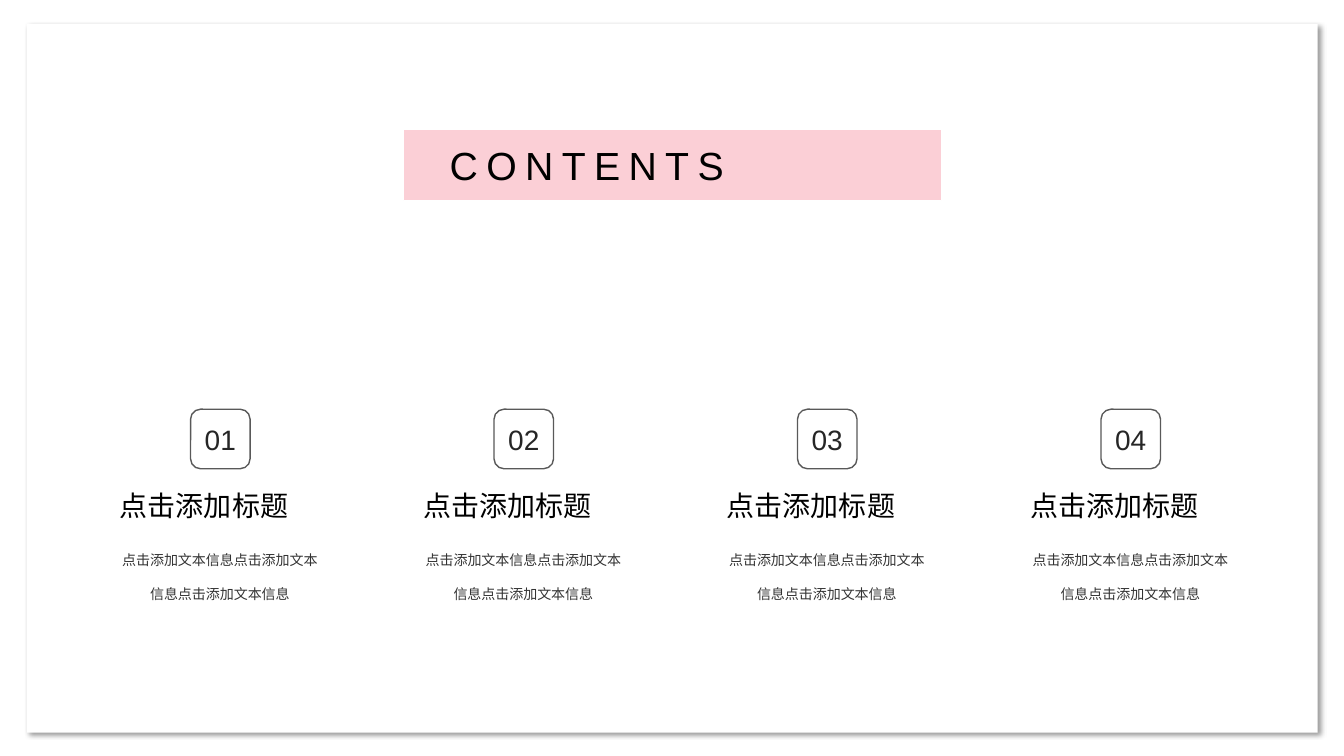
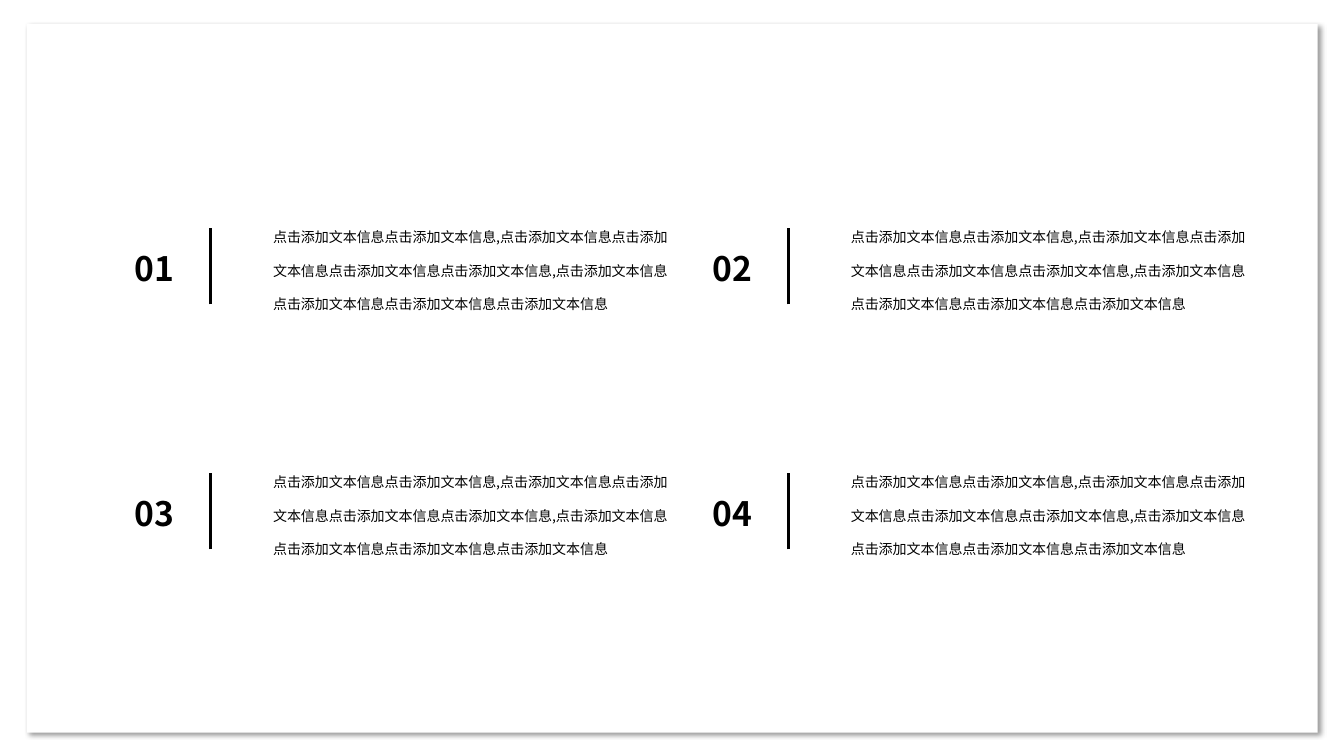
from dataclasses import dataclass

from lxml import etree
from pptx import Presentation
from pptx.dml.color import RGBColor
from pptx.enum.shapes import MSO_CONNECTOR, MSO_SHAPE
from pptx.enum.text import MSO_ANCHOR, MSO_AUTO_SIZE, PP_ALIGN
from pptx.oxml.ns import qn
from pptx.util import Inches, Pt

RECTANGLE = MSO_SHAPE.RECTANGLE
ROUNDED = MSO_SHAPE.ROUNDED_RECTANGLE
STRAIGHT = MSO_CONNECTOR.STRAIGHT
TOP, MIDDLE, BOTTOM = MSO_ANCHOR.TOP, MSO_ANCHOR.MIDDLE, MSO_ANCHOR.BOTTOM
LEFT, CENTER, JUSTIFY = PP_ALIGN.LEFT, PP_ALIGN.CENTER, PP_ALIGN.JUSTIFY
GROW, FIXED = MSO_AUTO_SIZE.SHAPE_TO_FIT_TEXT, MSO_AUTO_SIZE.NONE

COLORS = {
    "white": "FFFFFF",
    "pink": "FBCFD6",
    "black": "000000",
    "outline": "595959",
    "number": "262626",
    "caption": "333333",
}
LATIN_FONT = "Arial"
CHINESE_FONT = "Noto Sans CJK SC"
NORMAL_INSETS = (0.1, 0.05, 0.1, 0.05)
FLAT_INSETS = (0.1, 0, 0.1, 0)
NO_INSETS = (0, 0, 0, 0)

HEADING = "点击添加标题"
CAPTION = "点击添加文本信息" * 3
PARAGRAPH = ",".join("点击添加文本信息" * count for count in (2, 4, 4))


@dataclass(frozen=True)
class Area:
    left: float
    top: float
    width: float
    height: float

    def lengths(self) -> tuple:
        return tuple(Inches(value) for value in (self.left, self.top, self.width, self.height))


@dataclass(frozen=True)
class Entry:
    number: str
    left: float
    top: float


CONTENTS_ENTRIES = [Entry(f"{index + 1:02}", 1.09 + 3.01 * index, 4.06) for index in range(4)]
DETAIL_ENTRIES = [
    Entry(f"{index + 1:02}", 1.24 + 5.73 * (index % 2), 2.1 + 2.43 * (index // 2))
    for index in range(4)
]


def color(name: str) -> RGBColor:
    return RGBColor.from_string(COLORS[name])


def write_text(box, text: str, *, size: float, font: str = CHINESE_FONT, ink: str = "black",
               bold: bool = False, align=LEFT, anchor=TOP, line_spacing: float = 1.0,
               letter_spacing: float = 0, insets: tuple = NORMAL_INSETS, fit=GROW) -> None:
    frame = box.text_frame
    frame.word_wrap = True
    frame.auto_size = fit
    frame.vertical_anchor = anchor
    frame.margin_left, frame.margin_top, frame.margin_right, frame.margin_bottom = map(Inches, insets)
    para = frame.paragraphs[0]
    para.alignment = align
    para.line_spacing = line_spacing
    span = para.add_run()
    span.text = text
    span.font.size = Pt(size)
    span.font.bold = bold
    span.font.name = font
    span.font.color.rgb = color(ink)
    properties = span.font._element
    if letter_spacing:
        properties.set("spc", str(int(letter_spacing * 100)))
    east_asian = etree.Element(qn("a:ea"), typeface=font)
    properties.find(qn("a:latin")).addnext(east_asian)


def add_text(page, area: Area, text: str, **text_format) -> None:
    write_text(page.shapes.add_textbox(*area.lengths()), text, **text_format)


def add_block(page, kind, area: Area, fill: str, line: str | None = None):
    block = page.shapes.add_shape(kind, *area.lengths())
    block.shadow.inherit = False
    block.fill.solid()
    block.fill.fore_color.rgb = color(fill)
    if line:
        block.line.color.rgb = color(line)
        block.line.width = Pt(1)
    else:
        block.line.fill.background()
    return block


def add_master_panel(deck, page) -> None:
    panel = add_block(page, RECTANGLE, Area(0.27, 0.24, 12.8, 7.03), "white")
    effects = panel.element.spPr.find(qn("a:effectLst"))
    shadow = etree.SubElement(
        effects, qn("a:outerShdw"), blurRad=str(Pt(4)), dist=str(Pt(3)),
        dir=str(45 * 60000), algn="tl", rotWithShape="0",
    )
    shade = etree.SubElement(shadow, qn("a:srgbClr"), val=COLORS["black"])
    etree.SubElement(shade, qn("a:alpha"), val="40000")
    panel.element.nvSpPr.cNvPr.set("id", "20")
    deck.slide_master.shapes.element.insert(2, panel.element)


def add_divider(page, left: float, top: float, bottom: float) -> None:
    divider = page.shapes.add_connector(
        STRAIGHT, Inches(left), Inches(bottom), Inches(left), Inches(top)
    )
    divider.line.color.rgb = color("black")
    divider.line.width = Pt(2.25)
    etree.SubElement(divider.element.spPr, qn("a:effectLst"))


def add_title(page, text: str) -> None:
    add_block(page, RECTANGLE, Area(4, 1.28, 5.34, 0.71), "pink", "white")
    title = page.shapes.title
    title.left, title.top, title.width, title.height = Area(4.46, 1.4, 4.41, 0.47).lengths()
    write_text(title, text, size=28, font=LATIN_FONT, align=JUSTIFY,
               letter_spacing=6, insets=NO_INSETS)
    page.shapes.element.append(title.element)


def add_contents_entry(page, entry: Entry) -> None:
    badge = add_block(page, ROUNDED, Area(entry.left + 0.8, entry.top, 0.59, 0.59),
                      "white", "outline")
    write_text(badge, entry.number, size=20, font=LATIN_FONT, ink="number",
               align=CENTER, anchor=MIDDLE, fit=FIXED)
    add_text(page, Area(entry.left, entry.top + 1.2, 2.18, 0.71), CAPTION,
             size=10, ink="caption", align=CENTER, line_spacing=2.0)
    add_text(page, Area(entry.left, entry.top + 0.74, 2.18, 0.45), HEADING,
             size=20, align=JUSTIFY)


def add_detail_entry(page, entry: Entry) -> None:
    add_divider(page, entry.left + 0.85, entry.top + 0.16, entry.top + 0.92)
    add_text(page, Area(entry.left, entry.top + 0.12, 0.68, 0.69), entry.number,
             size=24, bold=True, anchor=BOTTOM, fit=FIXED)
    add_text(page, Area(entry.left + 1.37, entry.top, 4.11, 0.99), PARAGRAPH,
             size=10, line_spacing=2.0, insets=FLAT_INSETS, fit=FIXED)


def build_contents(deck) -> None:
    page = deck.slides.add_slide(deck.slide_layouts.get_by_name("Title Only"))
    add_master_panel(deck, page)
    for entry in CONTENTS_ENTRIES:
        add_contents_entry(page, entry)
    add_title(page, "CONTENTS")


def build_details(deck) -> None:
    page = deck.slides.add_slide(deck.slide_layouts.get_by_name("Blank"))
    for entry in DETAIL_ENTRIES:
        add_detail_entry(page, entry)


def main() -> None:
    deck = Presentation()
    deck.slide_width, deck.slide_height = Inches(13.33), Inches(7.5)
    build_contents(deck)
    build_details(deck)
    deck.save("out.pptx")


if __name__ == "__main__":
    main()
